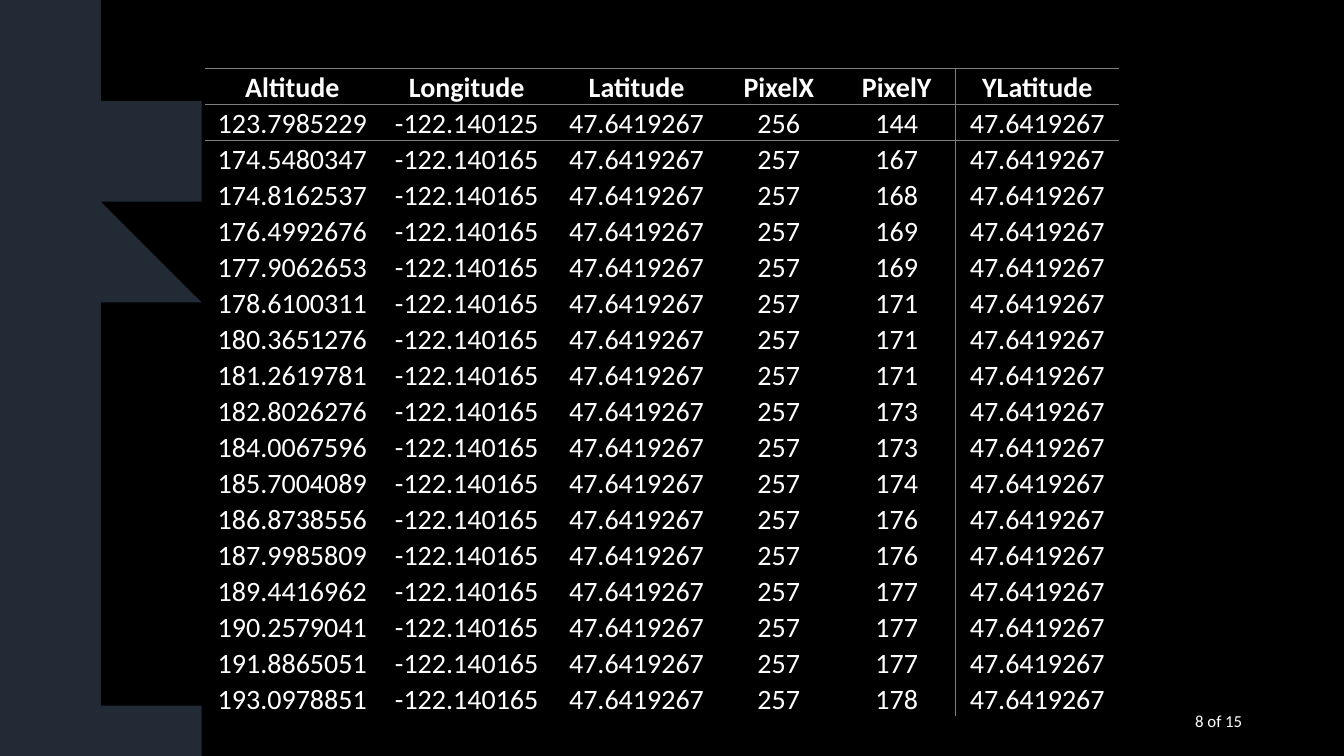
from lxml.etree import SubElement
from pptx import Presentation
from pptx.dml.color import RGBColor
from pptx.enum.text import MSO_ANCHOR, PP_ALIGN
from pptx.oxml.ns import qn
from pptx.util import Inches, Pt

COLORS = {"background": "000000", "brush": "44546A", "text": "FFFFFF", "rule": "7F7F7F"}
FONT = "Calibri"
NO_GRID_STYLE = "{2D5ABB26-0587-4C30-8999-92F81FD0307C}"

# Outline of the brush stroke: corners at the left, ragged edge from top to bottom
BRUSH_OUTLINE = [
    (0, 0), (1.51, 0), (1.85, 0.12), (1.44, 0.1), (1.47, 0.18), (1.7, 0.24), (1.8, 0.41),
    (1.45, 0.41), (1.43, 0.49), (1.26, 0.37), (1.26, 0.53), (1.49, 0.61), (1.07, 0.57),
    (0.83, 0.58), (0.37, 0.51), (0.95, 0.76), (1.39, 1), (1.27, 1.04), (1.59, 1.22),
    (1.66, 1.33), (1.5, 1.35), (1.53, 1.49), (1.91, 1.68), (1.9, 1.79), (1.78, 1.81),
    (1.95, 2.02), (2.12, 2.17), (2.06, 2.3), (1.71, 2.27), (2.1, 2.42), (1.5, 2.3),
    (0.84, 2.07), (1.36, 2.4), (1.58, 2.63), (1.8, 2.63), (1.93, 2.75), (1.64, 2.76),
    (1.57, 2.84), (1.1, 2.79), (1.02, 2.96), (0.87, 3.15), (0.55, 3.22), (1.15, 3.64),
    (0.75, 3.53), (0.69, 3.71), (0.88, 3.87), (0.97, 4.04), (0.92, 4.47), (0.84, 4.56),
    (0.72, 4.73), (0.64, 4.83), (0.39, 4.79), (0.73, 5.05), (0.37, 5.03), (0.62, 5.26),
    (1.03, 5.64), (0.63, 5.46), (1.05, 5.85), (1.15, 5.99), (1.33, 6.34), (1.11, 6.29),
    (1.39, 6.57), (1.69, 6.78), (1.19, 6.62), (1.09, 6.67), (1.36, 6.87), (1.58, 7.03),
    (1.76, 7.28), (2.17, 7.5), (0, 7.5),
]

HEADERS = ["Altitude", "Longitude", "Latitude", "PixelX", "PixelY", "YLatitude"]
COLUMN_WIDTHS = [1.74, 1.72, 1.65, 1.17, 1.17, 1.62]
LATITUDE = "47.6419267"
PIXEL_Y_BY_ALTITUDE = {
    "123.7985229": 144, "174.5480347": 167, "174.8162537": 168, "176.4992676": 169,
    "177.9062653": 169, "178.6100311": 171, "180.3651276": 171, "181.2619781": 171,
    "182.8026276": 173, "184.0067596": 173, "185.7004089": 174, "186.8738556": 176,
    "187.9985809": 176, "189.4416962": 177, "190.2579041": 177, "191.8865051": 177,
    "193.0978851": 178,
}


def format_paragraph(paragraph, size, align, bold=False):
    paragraph.alignment = align
    font = paragraph.runs[0].font
    font.name, font.size, font.bold = FONT, Pt(size), bold
    font.color.rgb = RGBColor.from_string(COLORS["text"])


def add_border(cell, side):
    """Rule one side of a cell; call in the order L, R, T, B, before the fill."""
    line = SubElement(cell._tc.get_or_add_tcPr(), qn(f"a:ln{side}"), w=str(Pt(1)))
    fill = SubElement(line, qn("a:solidFill"))
    SubElement(fill, qn("a:srgbClr"), val=COLORS["rule"])


prs = Presentation()
prs.slide_width, prs.slide_height = Inches(13.33), Inches(7.5)
slide = prs.slides.add_slide(prs.slide_layouts[6])
slide.background.fill.solid()
slide.background.fill.fore_color.rgb = RGBColor.from_string(COLORS["background"])

# Brush stroke along the left side
builder = slide.shapes.build_freeform(0, 0, scale=Inches(1))
builder.add_line_segments(BRUSH_OUTLINE[1:], close=True)
brush = builder.convert_to_shape()
brush.shadow.inherit = False
brush.line.fill.background()
brush.fill.solid()
brush.fill.fore_color.rgb = RGBColor.from_string(COLORS["brush"])
brush_color = brush._element.spPr.find(qn("a:solidFill")).find(qn("a:srgbClr"))
SubElement(brush_color, qn("a:alpha"), val="50000")

# Page number
page_number = slide.shapes.add_textbox(Inches(9.42), Inches(6.95), Inches(3), Inches(0.4))
page_number.text_frame.word_wrap = True
page_number.text_frame.vertical_anchor = MSO_ANCHOR.MIDDLE
page_paragraph = page_number.text_frame.paragraphs[0]
page_paragraph.text = "8 of 15"
page_paragraph.space_after = Pt(6)
format_paragraph(page_paragraph, 12, PP_ALIGN.RIGHT)

# Readings table: only the first reading has its own longitude and pixel X
rows = [HEADERS]
for altitude, pixel_y in PIXEL_Y_BY_ALTITUDE.items():
    longitude, pixel_x = ("-122.140125", 256) if len(rows) == 1 else ("-122.140165", 257)
    rows.append([altitude, longitude, LATITUDE, pixel_x, pixel_y, LATITUDE])

table = slide.shapes.add_table(len(rows), len(HEADERS), Inches(2.03), Inches(0.68),
                               Inches(sum(COLUMN_WIDTHS)), Inches(0.34 * len(rows))).table
table.first_row = table.horz_banding = False
table._tbl.tblPr.find(qn("a:tableStyleId")).text = NO_GRID_STYLE
for column, width in zip(table.columns, COLUMN_WIDTHS):
    column.width = Inches(width)

for r, values in enumerate(rows):
    table.rows[r].height = Inches(0.34)
    for c, value in enumerate(values):
        cell = table.cell(r, c)
        cell.margin_left = cell.margin_right = cell.margin_top = cell.margin_bottom = 0
        cell.vertical_anchor = MSO_ANCHOR.MIDDLE
        paragraph = cell.text_frame.paragraphs[0]
        paragraph.text = str(value)
        paragraph.line_spacing = 1.07
        format_paragraph(paragraph, 20, PP_ALIGN.CENTER, bold=r == 0)
        ruled = {"L": c == 5, "R": c == 4, "T": r <= 1, "B": r == 0}
        for side, wanted in ruled.items():
            if wanted:
                add_border(cell, side)
        cell.fill.background()

prs.save("out.pptx")
